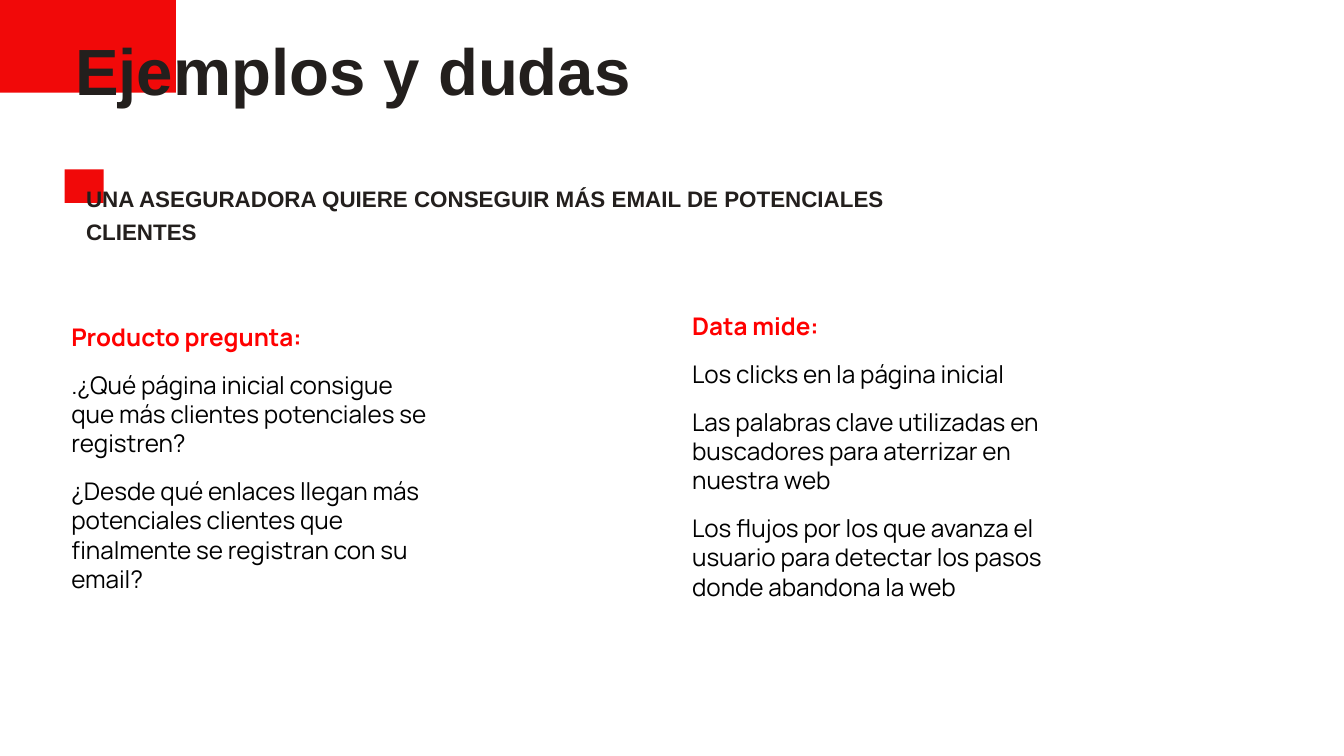
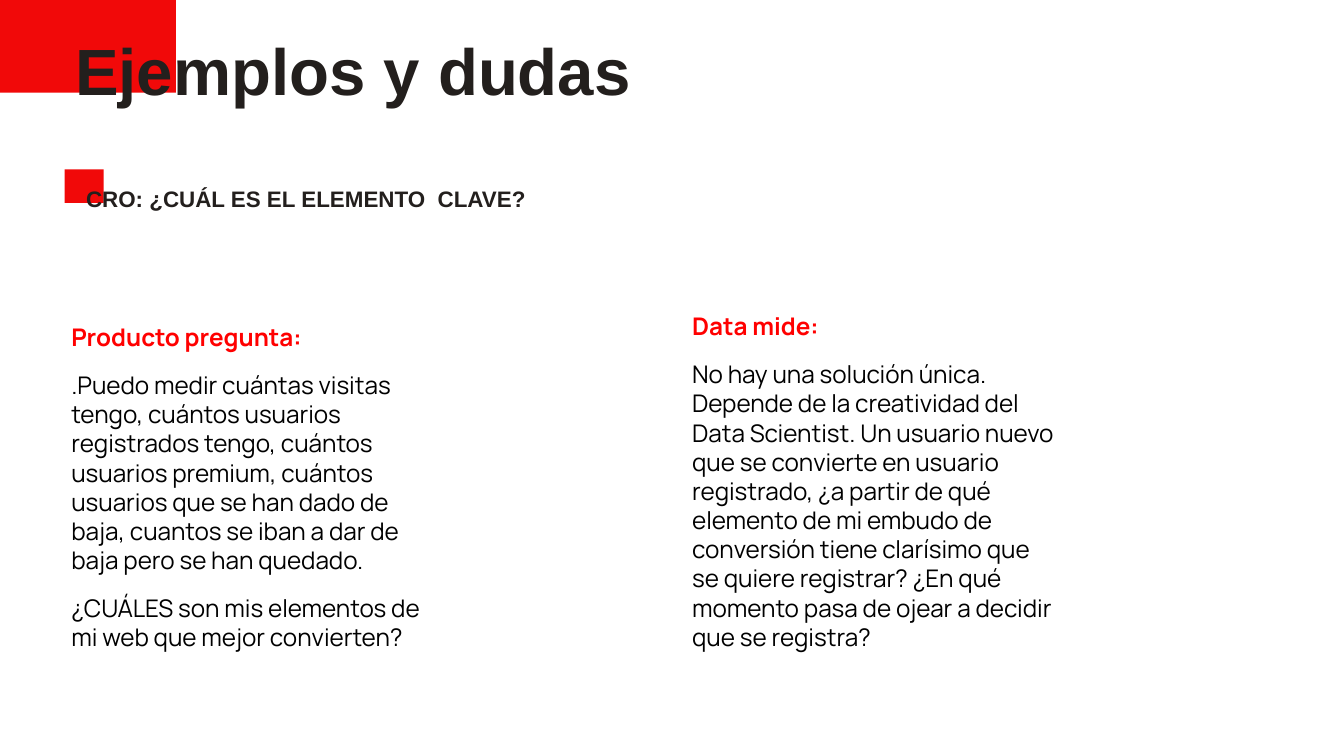
from dataclasses import dataclass

from pptx import Presentation
from pptx.dml.color import RGBColor
from pptx.enum.shapes import MSO_SHAPE
from pptx.enum.text import MSO_ANCHOR, MSO_AUTO_SIZE, PP_ALIGN
from pptx.oxml.ns import qn
from pptx.util import Pt

RECT = MSO_SHAPE.RECTANGLE
TOP = MSO_ANCHOR.TOP
FIXED = MSO_AUTO_SIZE.NONE
LEFT = PP_ALIGN.LEFT


@dataclass(frozen=True)
class Theme:
    """Colours, fonts and type sizes shared by the slides."""

    band: RGBColor = RGBColor(0xF1, 0x09, 0x09)
    ink: RGBColor = RGBColor(0x23, 0x1F, 0x1D)
    head: RGBColor = RGBColor(0xFF, 0x00, 0x00)
    text: RGBColor = RGBColor(0x00, 0x00, 0x00)
    sans: str = "Arial"
    round: str = "Manrope"
    title: float = 35
    lead: float = 12
    body: float = 13
    gap: float = 10
    inset: float = 3.6


THEME = Theme()
TITLE = "Ejemplos y dudas"
ASK = "Producto pregunta:"
DATA = "Data mide:"
BANDS = ((0, 0, 94.3, 49.7), (34.6, 90.7, 20.9, 18))
COLUMNS = ((34.6, 169.2, 200.9, 82), (367.2, 163.4, 200.9, 82))

SLIDES = (
    (
        "UNA ASEGURADORA QUIERE CONSEGUIR MÁS EMAIL DE POTENCIALES CLIENTES",
        (
            ASK,
            ".¿Qué página inicial consigue que más clientes potenciales se registren?",
            "¿Desde qué enlaces llegan más potenciales clientes que finalmente "
            "se registran con su email?",
        ),
        (
            DATA,
            "Los clicks en la página inicial",
            "Las palabras clave utilizadas en buscadores para aterrizar en nuestra web",
            "Los flujos por los que avanza el usuario para detectar los pasos "
            "donde abandona la web",
        ),
    ),
    (
        "CRO: ¿CUÁL ES EL ELEMENTO  CLAVE?",
        (
            ASK,
            ".Puedo medir cuántas visitas tengo, cuántos usuarios registrados tengo, "
            "cuántos usuarios premium, cuántos usuarios que se han dado de baja, "
            "cuantos se iban a dar de baja pero se han quedado.",
            "¿CUÁLES son mis elementos de mi web que mejor convierten?",
        ),
        (
            DATA,
            "No hay una solución única. Depende de la creatividad del Data Scientist. "
            "Un usuario nuevo que se convierte en usuario registrado, ¿a partir de qué "
            "elemento de mi embudo de conversión tiene clarísimo que se quiere "
            "registrar? ¿En qué momento pasa de ojear a decidir que se registra?",
        ),
    ),
)


def place(shape, box):
    """Move a shape to a box given in points."""
    shape.left, shape.top, shape.width, shape.height = map(Pt, box)


def frame(shape, inset=0):
    """Prepare a wrapping, top-anchored text frame and return it."""
    text = shape.text_frame
    text.word_wrap = True
    text.auto_size = FIXED
    text.vertical_anchor = TOP
    text.margin_left = text.margin_right = Pt(inset)
    text.margin_top = text.margin_bottom = Pt(inset)
    return text


def style(para, name, size, color, bold):
    """Format the runs of a left-aligned paragraph."""
    para.alignment = LEFT
    for run in para.runs:
        font = run.font
        font.name, font.size, font.bold = name, Pt(size), bold
        font.color.rgb = color


def add_bands(slide):
    """Draw the red blocks behind the text."""
    for box in BANDS:
        band = slide.shapes.add_shape(RECT, *map(Pt, box))
        band.shadow.inherit = False
        band.fill.solid()
        band.fill.fore_color.rgb = THEME.band
        band.line.fill.background()
        slide.shapes._spTree.insert(2, band._element)


def add_head(shape, box, words, size):
    """Write a bold heading line in a shape."""
    place(shape, box)
    text = frame(shape)
    text.text = words
    para = text.paragraphs[0]
    para.line_spacing = 1.2
    style(para, THEME.sans, size, THEME.ink, True)


def add_list(shape, box, lines):
    """Fill a column with a red heading and plain paragraphs."""
    place(shape, box)
    text = frame(shape, THEME.inset)
    text.text = "\n".join(lines)
    for i, para in enumerate(text.paragraphs):
        props = para._p.get_or_add_pPr()
        props.set("marL", "0")
        props.set("indent", "0")
        props.append(props.makeelement(qn("a:buNone"), {}))
        para.space_before = Pt(THEME.gap if i else 0)
        color = THEME.text if i else THEME.head
        style(para, THEME.round, THEME.body, color, i == 0)
    para.space_after = Pt(THEME.gap)


def add_slide(deck, lead, *lists):
    """Add one slide with its title, lead line and two columns."""
    slide = deck.slides.add_slide(deck.slide_layouts[3])
    add_bands(slide)
    add_head(slide.shapes.title, (40.3, 7.9, 586, 41.8), TITLE, THEME.title)
    note = slide.shapes.add_textbox(0, 0, 0, 0)
    add_head(note, (46.1, 96.5, 440.6, 34), lead, THEME.lead)
    for i, lines in enumerate(lists):
        add_list(slide.placeholders[i + 1], COLUMNS[i], lines)


def main():
    """Build and save the deck."""
    deck = Presentation()
    deck.slide_width, deck.slide_height = Pt(720), Pt(405)
    for lead, *lists in SLIDES:
        add_slide(deck, lead, *lists)
    deck.save("out.pptx")


if __name__ == "__main__":
    main()
